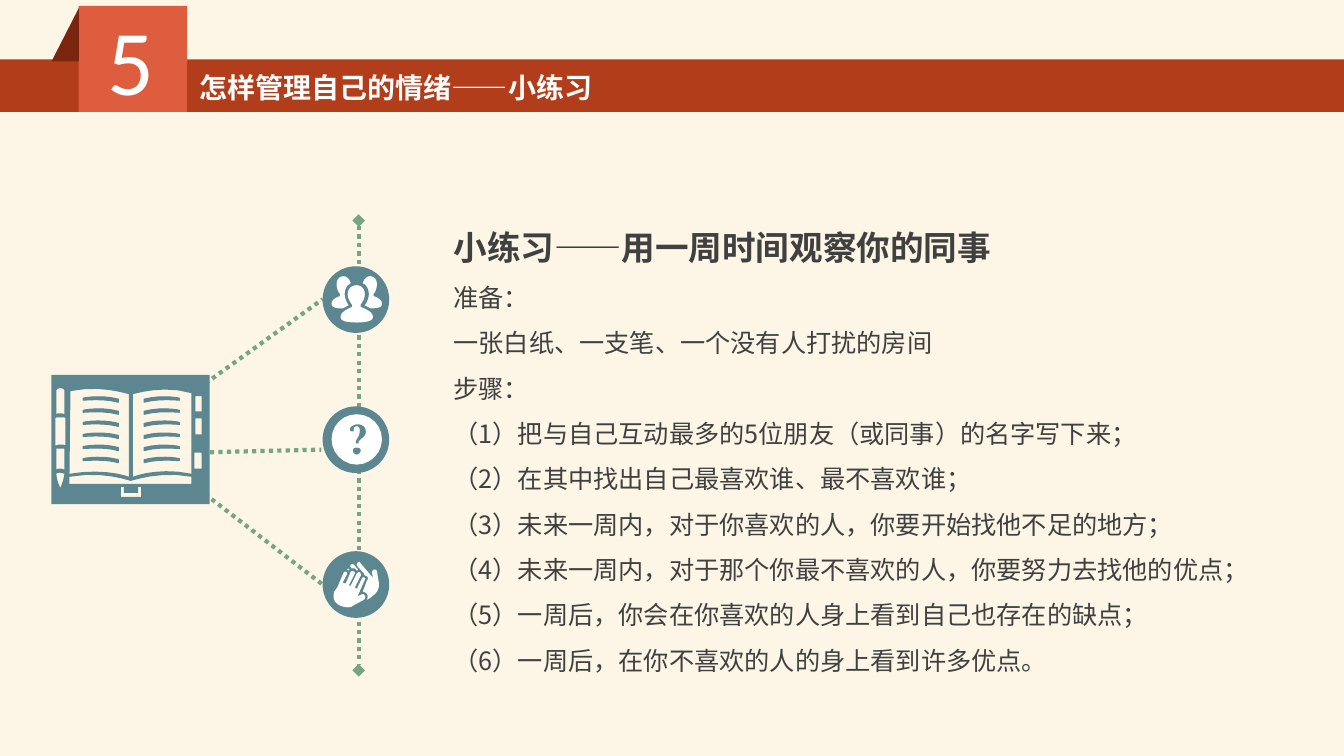
from dataclasses import dataclass

from lxml.etree import SubElement
from pptx import Presentation
from pptx.dml.color import RGBColor
from pptx.enum.dml import MSO_LINE
from pptx.enum.shapes import MSO_CONNECTOR, MSO_SHAPE
from pptx.enum.text import MSO_AUTO_SIZE
from pptx.oxml.ns import qn
from pptx.shapes.autoshape import Shape
from pptx.slide import Slide
from pptx.util import Cm, Pt

COLORS = {"cream": "FDF6E6", "band": "B23D1A", "square": "DF5D3F", "fold": "7A250D",
          "white": "FFFFFF", "text": "404040", "dots": "77A483", "teal": "5C8790"}
CJK_FONT = "Noto Sans CJK SC"
OUTLINE_UNIT = Cm(2.54) / 100  # outline numbers are hundredths of an inch
CURVE_STEPS = 6
Point = tuple[float, float]
Contour = list[Point]


@dataclass
class Block:
    kind: MSO_SHAPE
    left: float
    top: float
    width: float
    height: float
    color: str
    flipped: bool = False


@dataclass
class Line:
    text: str
    size: int
    color: str
    bold: bool = False
    font: str = CJK_FONT


@dataclass
class TextBox:
    left: float
    top: float
    width: float
    height: float
    lines: list[Line]
    spacing: float = 1.0


@dataclass
class DottedLine:
    start: Point
    end: Point
    diamonds: bool = False


STEPS = ["准备：", "一张白纸、一支笔、一个没有人打扰的房间", "步骤：",
         "（1）把与自己互动最多的5位朋友（或同事）的名字写下来；",
         "（2）在其中找出自己最喜欢谁、最不喜欢谁；",
         "（3）未来一周内，对于你喜欢的人，你要开始找他不足的地方；",
         "（4）未来一周内，对于那个你最不喜欢的人，你要努力去找他的优点；",
         "（5）一周后，你会在你喜欢的人身上看到自己也存在的缺点；",
         "（6）一周后，在你不喜欢的人的身上看到许多优点。"]
HEADER = [Block(MSO_SHAPE.RECTANGLE, 0, 1.5, 33.87, 1.32, "band"),
          Block(MSO_SHAPE.RECTANGLE, 1.98, 0.15, 2.74, 2.67, "square"),
          Block(MSO_SHAPE.RIGHT_TRIANGLE, 1.3, 0.2, 0.69, 1.35, "fold", True)]
CIRCLES = [Block(MSO_SHAPE.OVAL, 8.13, top, 1.68, 1.68, "teal") for top in (6.71, 10.24, 13.89)]
TEXTS = [TextBox(2.46, -0.05, 1.8, 3.07, [Line("5", 66, "white", font="Calibri")]),
         TextBox(4.78, 1.65, 10.59, 1.12, [Line("怎样管理自己的情绪——小练习", 20, "white", True)]),
         TextBox(11.18, 5.08, 20.75, 12.19,
                 [Line("小练习——用一周时间观察你的同事", 24, "text", True)]
                 + [Line(step, 18, "text") for step in STEPS], 1.5)]
DOTTED_LINES = [DottedLine((4.83, 9.91), (8.13, 7.54)), DottedLine((5.08, 11.4), (8.1, 11.33)),
                DottedLine((4.83, 12.19), (8.13, 14.73)),
                DottedLine((9.04, 5.56), (9.04, 16.89), True)]

# Segments are split by "|", contours by ";": two numbers are a line, six a Bézier curve.
SIDE_PERSON = ("340 306|334 306 329 305 329 302|329 301|329 298 333 295 337 294|337 294 338 293 337 291|"
               "335 289 334 285 334 282|334 277 337 274 341 274|344 274 347 277 348 281|"
               "344 283 342 287 342 292|342 296 344 300 346 303|344 304 342 305 340 306")
MIDDLE_PERSON = ("359 305|359 305 357 305 358 302|360 299 362 296 362 292|362 286 358 283 354 283|"
                 "349 283 345 286 345 292|345 296 347 299 349 302|350 304 349 305 348 305|"
                 "344 307 338 310 338 314|338 315|338 319 346 320 354 320|361 320 370 319 370 315|"
                 "370 314|370 310 364 307 359 305")
QUESTION = ("354 411|340 411 329 422 329 436|329 449 340 461 354 461|368 461 379 449 379 436|"
            "379 422 368 411 354 411;"
            "354 451|352 451 350 449 350 447|350 445 352 444 354 444|356 444 358 445 358 447|"
            "358 449 356 451 354 451;"
            "359 435|357 437|355 438 356 439 356 440|353 440|353 439|353 435 357 434 357 427|"
            "357 425 356 423 354 423|352 423 351 424 351 427|352 428 350 428 349 428|"
            "348 428 347 427 347 426|347 424 350 421 355 421|359 421 363 423 363 428|"
            "363 431 362 433 359 435")
HANDS = ["349 564|350 564 351 564 352 564|353 565 353 565 354 566|354 566 355 566 355 565|351 560|"
         "350 560 349 559 348 560|348 560 347 562 348 563",
         "376 579|374 567|374 566 373 565 371 565|370 565 369 567 369 568|370 573|369 572|357 558|"
         "357 557 356 557 355 558|354 559 354 560 354 561|362 570|361 570|362 571 362 571 363 571|"
         "365 572 366 574 364 576|360 587|361 587 363 588 364 589|365 591 365 593 364 595|"
         "366 594 368 593 370 591|375 587 376 584 376 579",
         "345 565|345 565 346 566 346 566|346 566 346 565 347 565|346 564 345 564 344 565",
         "362 591|361 589 360 589 358 590|354 592|355 591|362 575|363 574 362 573 361 573|"
         "360 572 360 573 359 574|354 584|352 583|358 571|358 570 358 568 357 568|"
         "356 567 355 568 354 569|348 581|346 581|352 569|352 568 352 567 351 567|"
         "350 566 349 567 348 567|343 579|340 578|344 570|345 569 344 567 343 567|"
         "343 567 342 567 341 568|335 582|333 585|332 586|330 591 330 598 338 601|"
         "343 603 348 603 350 601|361 595|362 594 363 592 362 591"]
BOOK = ("51 372|208 372|208 500|51 500;"
        "69 473|102 467 129 477 129 477|130 477|131 477 159 467 190 473|190 480|69 480;"
        "190 470|163 464 139 470 132 473|132 391|137 390 162 382 190 390;"
        "128 473|121 470 97 465 69 470|70 388|99 382 123 390 128 391;"
        "60 414|63 414 65 414 65 415|65 442|64 441 62 441 59 441|58 441 56 442 55 442|"
        "55 415|55 414 57 414 60 414;"
        "60 445|61 445 62 445 64 445|64 466|62 465 61 465 60 465|58 465 57 465 56 466|56 445;"
        "60 469|62 469 63 470 64 470|63 477 61 481 60 484|57 479 56 472 56 470|57 469 58 469 60 469;"
        "56 387|57 386 58 385 60 385|62 385 63 386 64 387|64 411|62 410 61 410 59 410|"
        "58 410 57 410 56 411;"
        "120 483|123 483|123 489|137 489|137 483|140 483|140 493|120 493;"
        "193 465|193 449|200 449|200 465;194 431|194 415|200 415|200 431;"
        "194 408|194 393|200 393|200 408")
TEXT_ROW = "143 399|158 395 175 397 178 397|178 395|174 394 158 392 143 396"
ROW_COUNT, ROW_PITCH = 6, 12


def color(name: str) -> RGBColor:
    return RGBColor.from_string(COLORS[name])


def read_contours(outline: str) -> list[Contour]:
    """Turn an outline string into contours, sampling its curves."""
    contours = []
    for contour_text in outline.split(";"):
        points: Contour = []
        for segment in contour_text.split("|"):
            numbers = [float(number) for number in segment.split()]
            ends = list(zip(numbers[::2], numbers[1::2]))
            if len(ends) == 1:
                points += ends
                continue
            corners = [points[-1], *ends]
            for step in range(1, CURVE_STEPS + 1):
                t = step / CURVE_STEPS
                weights = ((1 - t) ** 3, 3 * t * (1 - t) ** 2, 3 * t * t * (1 - t), t ** 3)
                points.append((sum(w * x for w, (x, _) in zip(weights, corners)),
                               sum(w * y for w, (_, y) in zip(weights, corners))))
        contours.append(points)
    return contours


def mirror(contour: Contour, axis: float) -> Contour:
    return [(2 * axis - x, y) for x, y in contour]


def paint(shape: Shape, fill: str) -> None:
    shape.shadow.inherit = False
    shape.fill.solid()
    shape.fill.fore_color.rgb = color(fill)
    shape.line.fill.background()


def draw_block(slide: Slide, block: Block) -> None:
    shape = slide.shapes.add_shape(block.kind, Cm(block.left), Cm(block.top),
                                   Cm(block.width), Cm(block.height))
    paint(shape, block.color)
    if block.flipped:
        shape.element.spPr.find(qn("a:xfrm")).set("flipH", "1")


def draw_outline(slide: Slide, contours: list[Contour], fill: str, outlined: bool = False) -> None:
    scaled = [[(x * OUTLINE_UNIT, y * OUTLINE_UNIT) for x, y in contour] for contour in contours]
    builder = slide.shapes.build_freeform(*scaled[0][0])
    for contour in scaled:
        builder.move_to(*contour[0])
        builder.add_line_segments(contour[1:], close=True)
    shape = builder.convert_to_shape()
    paint(shape, fill)
    if outlined:
        shape.line.color.rgb = color(fill)
        shape.line.width = Pt(0.75)


def draw_dotted_line(slide: Slide, line: DottedLine) -> None:
    connector = slide.shapes.add_connector(MSO_CONNECTOR.STRAIGHT, *map(Cm, line.start + line.end))
    connector.line.color.rgb = color("dots")
    connector.line.width = Pt(3)
    connector.line.dash_style = MSO_LINE.ROUND_DOT
    if line.diamonds:
        for end in ("a:headEnd", "a:tailEnd"):
            SubElement(connector.line._get_or_add_ln(), qn(end), type="diamond")
    SubElement(connector.element.spPr, qn("a:effectLst"))


def draw_text(slide: Slide, box: TextBox) -> None:
    frame = slide.shapes.add_textbox(Cm(box.left), Cm(box.top), Cm(box.width), Cm(box.height)).text_frame
    frame.word_wrap = False
    frame.auto_size = MSO_AUTO_SIZE.SHAPE_TO_FIT_TEXT
    for index, line in enumerate(box.lines):
        paragraph = frame.add_paragraph() if index else frame.paragraphs[0]
        paragraph.line_spacing = box.spacing
        run = paragraph.add_run()
        run.text = line.text
        run.font.size, run.font.bold, run.font.name = Pt(line.size), line.bold, line.font
        run.font.color.rgb = color(line.color)
        SubElement(run.font._element, qn("a:ea"), typeface=line.font)


def main() -> None:
    presentation = Presentation()
    presentation.slide_width, presentation.slide_height = Cm(33.87), Cm(19.05)
    slide = presentation.slides.add_slide(presentation.slide_layouts[6])
    slide.background.fill.solid()
    slide.background.fill.fore_color.rgb = color("cream")
    for block in HEADER:
        draw_block(slide, block)
    for box in TEXTS:
        draw_text(slide, box)
    for line in DOTTED_LINES:
        draw_dotted_line(slide, line)
    for circle in CIRCLES:
        draw_block(slide, circle)
    [person] = read_contours(SIDE_PERSON)
    draw_outline(slide, [person, mirror(person, 354), *read_contours(MIDDLE_PERSON)], "white")
    for outline in (QUESTION, *HANDS):
        draw_outline(slide, read_contours(outline), "white")
    draw_outline(slide, read_contours(BOOK), "teal")
    [right_row] = read_contours(TEXT_ROW)
    for page_row in (right_row, mirror(right_row, 130.25)):
        for row in range(ROW_COUNT):
            draw_outline(slide, [[(x, y + row * ROW_PITCH) for x, y in page_row]], "teal", True)
    presentation.save("out.pptx")


if __name__ == "__main__":
    main()
